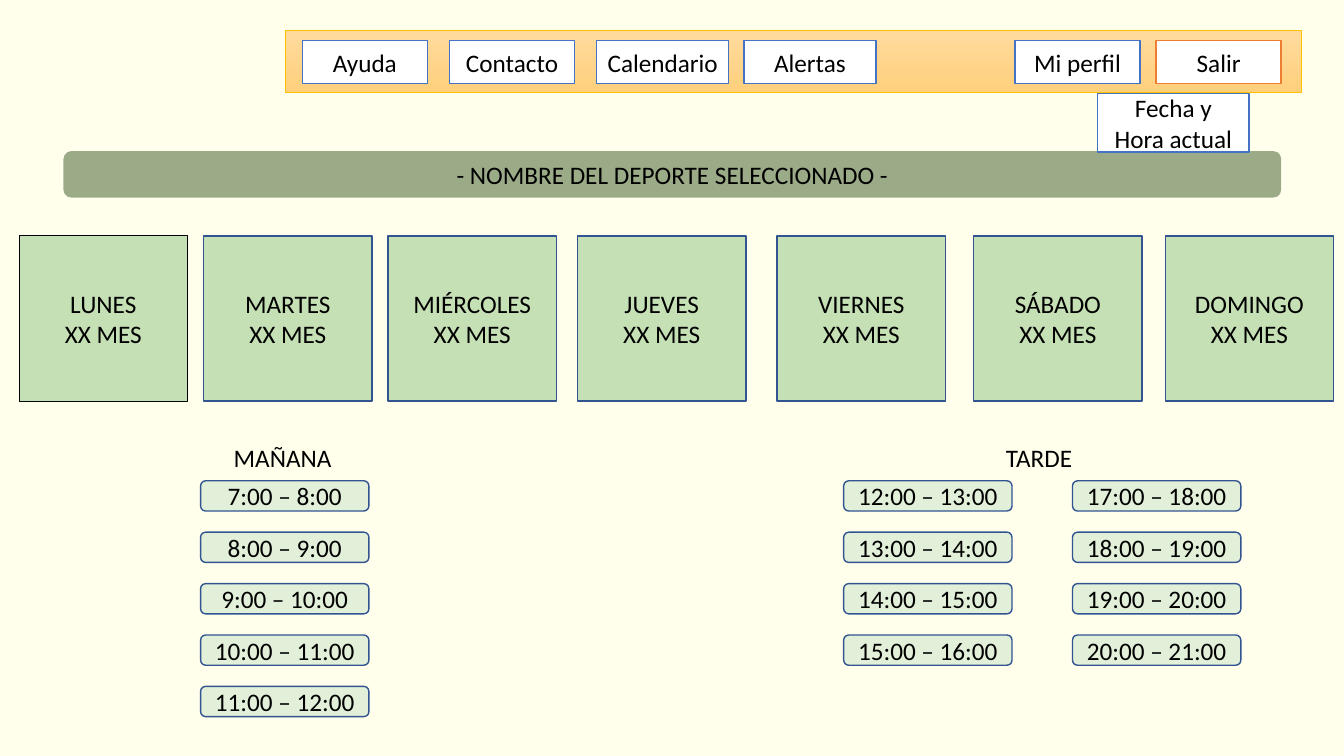
import lxml.etree
import pptx
import pptx.dml.color
import pptx.enum.shapes
import pptx.enum.text
import pptx.oxml.ns
import pptx.util

RGBColor = pptx.dml.color.RGBColor
CREAM = RGBColor(0xFF, 0xFF, 0xEC)
WHITE = RGBColor(0xFF, 0xFF, 0xFF)
BLACK = RGBColor(0x00, 0x00, 0x00)
PEACH = RGBColor(0xFF, 0xDB, 0x9E)
APRICOT = RGBColor(0xFF, 0xD0, 0x7C)
GOLD = RGBColor(0xFF, 0xC0, 0x00)
BLUE = RGBColor(0x44, 0x72, 0xC4)
ORANGE = RGBColor(0xED, 0x7D, 0x31)
NAVY = RGBColor(0x32, 0x54, 0x91)
FOREST = RGBColor(0x38, 0x57, 0x23)
SAGE = RGBColor(0xC5, 0xE0, 0xB4)
MINT = RGBColor(0xE2, 0xF0, 0xD9)

RECTANGLE = pptx.enum.shapes.MSO_SHAPE.RECTANGLE
ROUNDED = pptx.enum.shapes.MSO_SHAPE.ROUNDED_RECTANGLE
CENTER = pptx.enum.text.PP_ALIGN.CENTER
LEFT = pptx.enum.text.PP_ALIGN.LEFT

CELL = pptx.util.Inches(0.1)
COLUMNS, ROWS = 133.33, 75

MENU_LEFT, MENU_PITCH = 30, 14.6
MENU = [("Ayuda", 12.4), ("Contacto", 12.4), ("Calendario", 13.1), ("Alertas", 13.1)]
ACCOUNT = [("Mi perfil", 100.7, BLUE), ("Salir", 114.7, ORANGE)]
DAYS = [
    ("LUNES", 1.9), ("MARTES", 20.2), ("MIÉRCOLES", 38.5), ("JUEVES", 57.3),
    ("VIERNES", 77.1), ("SÁBADO", 96.6), ("DOMINGO", 115.6),
]
SLOT_TOP, SLOT_PITCH = 47.7, 5.1
SLOT_GROUPS = [(19.9, 7, 5), (83.7, 12, 4), (106.4, 17, 4)]


def cells(*counts):
    return [round(count * CELL) for count in counts]


def write_text(shape, text, alignment):
    shape.text_frame.text = text
    for para in shape.text_frame.paragraphs:
        para.alignment = alignment
        for span in para.runs:
            span.font.name = "Calibri"
            span.font.size = pptx.util.Pt(18)
            span.font.color.rgb = BLACK


def add_box(page, place, fill, line, text="", kind=RECTANGLE, weight=1):
    box = page.shapes.add_shape(kind, *cells(*place))
    box.shadow.inherit = False
    box.fill.solid()
    box.fill.fore_color.rgb = fill
    if line is None:
        box.line.fill.background()
    else:
        box.line.color.rgb = line
        box.line.width = pptx.util.Pt(weight)
    if text:
        box.text_frame.vertical_anchor = pptx.enum.text.MSO_ANCHOR.MIDDLE
        write_text(box, text, CENTER)
    return box


def add_heading(page, left, text):
    heading = page.shapes.add_textbox(*cells(left, 43.4, 12.2, 4))
    heading.text_frame.word_wrap = True
    heading.text_frame.auto_size = pptx.enum.text.MSO_AUTO_SIZE.SHAPE_TO_FIT_TEXT
    write_text(heading, text, LEFT)


def add_menu(page):
    bar = add_box(page, (28.3, 3, 100.8, 6.2), PEACH, GOLD, weight=0.5)
    bar.fill.gradient()
    bar.fill.gradient_angle = 270
    for stop, color in zip(bar.fill.gradient_stops, (PEACH, APRICOT)):
        stop.color.rgb = color
    for index, (name, width) in enumerate(MENU):
        left = MENU_LEFT + index * MENU_PITCH
        add_box(page, (left, 4, width, 4.3), WHITE, BLUE, name)
    for name, left, line in ACCOUNT:
        add_box(page, (left, 4, 12.4, 4.3), WHITE, line, name)


def add_sport_title(page):
    band = add_box(page, (6.3, 15, 120.8, 4.6), FOREST, None,
                   "- NOMBRE DEL DEPORTE SELECCIONADO -", ROUNDED)
    qn = pptx.oxml.ns.qn
    color = band.fill._xPr.find(qn("a:solidFill")).find(qn("a:srgbClr"))
    lxml.etree.SubElement(color, qn("a:alpha"), val="50000")


def add_days(page):
    for index, (name, left) in enumerate(DAYS):
        line, weight = (NAVY, 1) if index else (BLACK, 0.5)
        add_box(page, (left, 23.4, 16.7, 16.4), SAGE, line,
                f"{name}\nXX MES", weight=weight)


def add_slots(page):
    for left, first_hour, count in SLOT_GROUPS:
        for index in range(count):
            hour = first_hour + index
            top = SLOT_TOP + index * SLOT_PITCH
            add_box(page, (left, top, 16.7, 3), MINT, NAVY,
                    f"{hour}:00 – {hour + 1}:00", ROUNDED)


def main():
    deck = pptx.Presentation()
    deck.slide_width, deck.slide_height = cells(COLUMNS, ROWS)
    page = deck.slides.add_slide(deck.slide_layouts[6])
    page.background.fill.solid()
    page.background.fill.fore_color.rgb = CREAM
    add_menu(page)
    add_sport_title(page)
    add_days(page)
    add_heading(page, 22.2, "MAÑANA")
    add_heading(page, 98.8, "TARDE")
    add_slots(page)
    add_box(page, (108.9, 9.3, 15, 5.8), WHITE, BLUE, "Fecha y Hora actual")
    deck.save("out.pptx")


if __name__ == "__main__":
    main()
